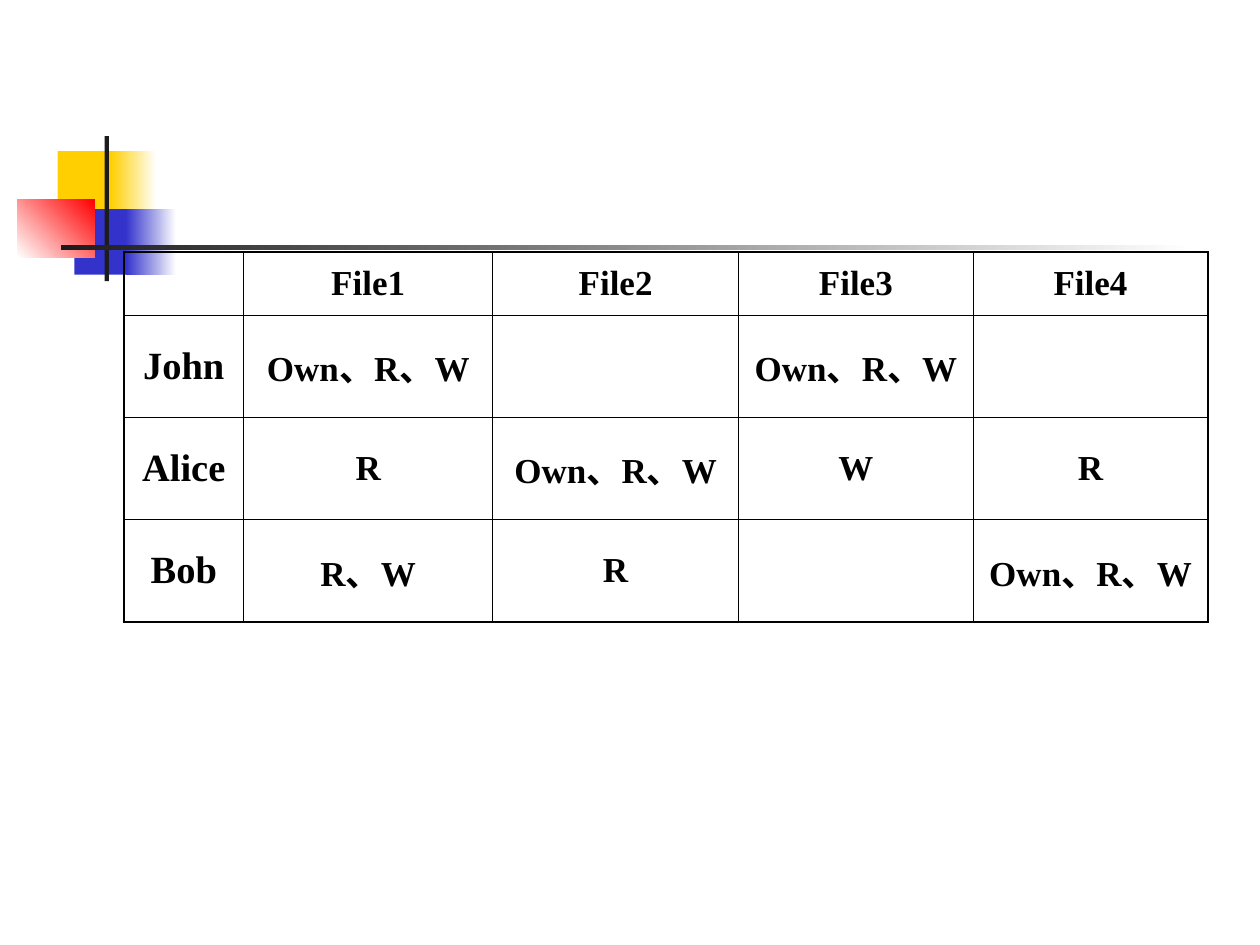
from lxml import etree
from pptx import Presentation
from pptx.dml.color import RGBColor
from pptx.enum import shapes, text
from pptx.oxml import ns
from pptx.util import Pt

BLACK = RGBColor(0x00, 0x00, 0x00)
WHITE = RGBColor(0xFF, 0xFF, 0xFF)
YELLOW = RGBColor(0xFF, 0xCF, 0x01)
BLUE = RGBColor(0x33, 0x33, 0xCC)
RED = RGBColor(0xFF, 0x00, 0x00)
DARK = RGBColor(0x1C, 0x1C, 0x1C)

RIGHTS = [
    ["", "File1", "File2", "File3", "File4"],
    ["John", "Own、R、W", "", "Own、R、W", ""],
    ["Alice", "R", "Own、R、W", "W", "R"],
    ["Bob", "R、W", "R", "", "Own、R、W"],
]


def write(tf, content, size=20, bold=True, color=BLACK, font="Times New Roman",
          align=text.PP_ALIGN.CENTER):
    p = tf.paragraphs[0]
    p.alignment = align
    r = p.add_run()
    r.text = content
    r.font.name = font
    r.font.size = Pt(size)
    r.font.bold = bold
    r.font.color.rgb = color


class Deck:
    thin = 0.45
    thick = 1.08
    name_size = 22

    def __init__(self, width, height):
        self.prs = Presentation()
        self.prs.slide_width = Pt(width)
        self.prs.slide_height = Pt(height)
        self.s = self.prs.slides.add_slide(self.prs.slide_layouts[6])

    def block(self, x, y, w, h, color, fade_to=None, angle=0):
        sp = self.s.shapes.add_shape(
            shapes.MSO_SHAPE.RECTANGLE, Pt(x), Pt(y), Pt(w), Pt(h))
        sp.shadow.inherit = False
        sp.line.fill.background()
        if fade_to is None:
            sp.fill.solid()
            sp.fill.fore_color.rgb = color
        else:
            sp.fill.gradient()
            sp.fill.gradient_angle = angle
            for stop, rgb in zip(sp.fill.gradient_stops, (color, fade_to)):
                stop.color.rgb = rgb

    def borders(self, cell, **widths):
        props = cell._tc.get_or_add_tcPr()
        for i, (side, width) in enumerate(widths.items()):
            ln = etree.Element(ns.qn("a:ln" + side), w=str(int(Pt(width))))
            fill = etree.SubElement(ln, ns.qn("a:solidFill"))
            etree.SubElement(fill, ns.qn("a:srgbClr"), val=str(BLACK))
            props.insert(i, ln)

    def table(self, x, y, widths, heights, rows):
        frame = self.s.shapes.add_table(
            len(rows), len(widths), Pt(x), Pt(y), Pt(sum(widths)), Pt(sum(heights)))
        table = frame.table
        table.first_row = False
        table.horz_banding = False
        for column, width in zip(table.columns, widths):
            column.width = Pt(width)
        for row, height in zip(table.rows, heights):
            row.height = Pt(height)
        last_row, last_col = len(rows) - 1, len(widths) - 1
        for i, row in enumerate(rows):
            for j, content in enumerate(row):
                cell = table.cell(i, j)
                cell.fill.background()
                cell.vertical_anchor = text.MSO_ANCHOR.MIDDLE
                self.borders(
                    cell,
                    L=self.thin if j else self.thick,
                    R=self.thick if j == last_col else self.thin,
                    T=self.thin if i else self.thick,
                    B=self.thick if i == last_row else self.thin)
                if content:
                    write(cell.text_frame, content, size=20 if j else self.name_size)


def main():
    deck = Deck(720, 540)
    deck.block(33, 86.4, 34.6, 37.4, YELLOW)
    deck.block(63.4, 86.4, 25.9, 37.4, YELLOW, fade_to=WHITE)
    deck.block(42.5, 119.5, 33.1, 37.4, BLUE)
    deck.block(72, 119.5, 28.8, 37.4, BLUE, fade_to=WHITE)
    deck.block(10, 113.8, 44, 33.1, WHITE, fade_to=RED, angle=45)
    deck.block(59.8, 77.8, 2.4, 82.8, DARK)
    deck.block(34.8, 140.2, 648, 2.4, DARK, fade_to=WHITE)
    deck.table(70.8, 144, [68.4, 142.4, 140.4, 134.2, 134], [36] + [58.3] * 3, RIGHTS)
    deck.prs.save("out.pptx")


if __name__ == "__main__":
    main()
